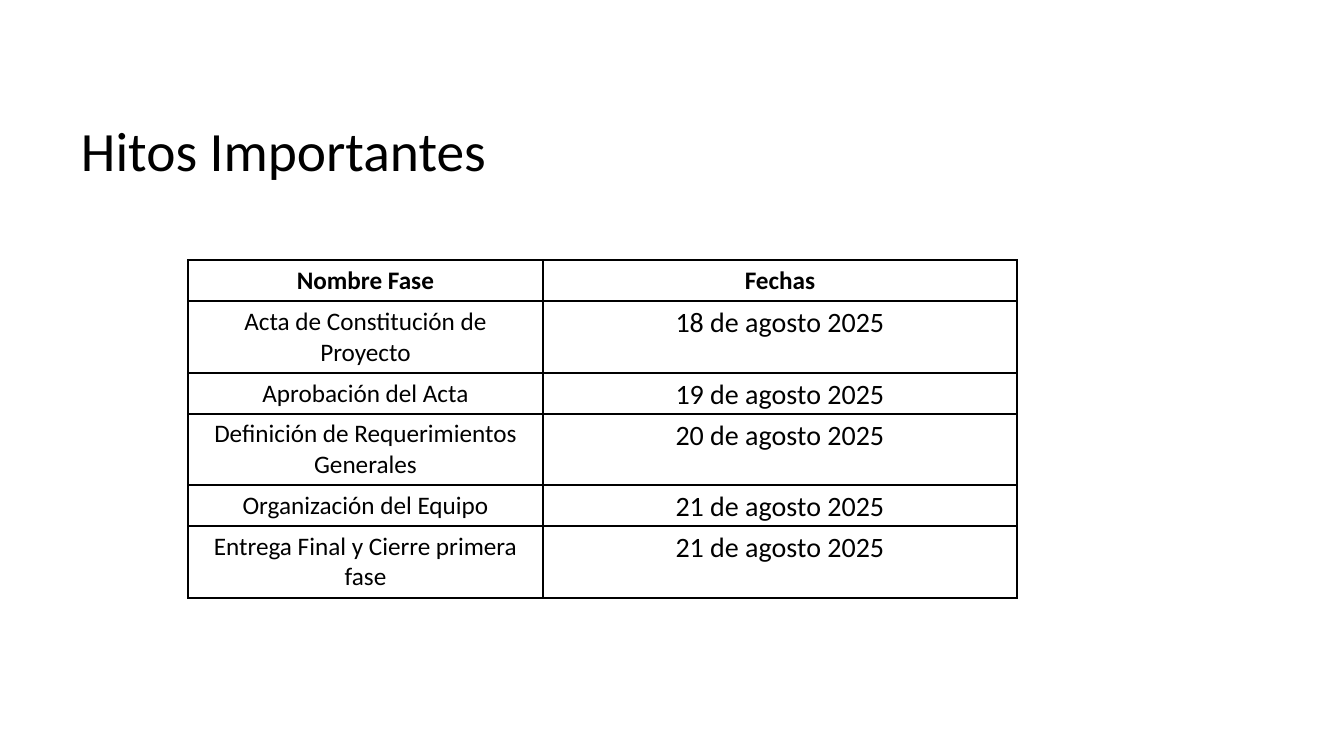
from lxml.etree import SubElement
from pptx import Presentation
from pptx.dml.color import RGBColor
from pptx.enum.text import MSO_ANCHOR, PP_ALIGN
from pptx.oxml.ns import qn
from pptx.util import Emu, Pt

FONT = "Calibri"
BLACK = "000000"
COLUMNS = (355, 474)
ROW_HEIGHTS = (41, 72, 41, 71, 41, 72)
HEADERS = ("Nombre Fase", "Fechas")
MILESTONES = (
    ("Acta de Constitución de Proyecto", "18 de agosto 2025"),
    ("Aprobación del Acta", "19 de agosto 2025"),
    ("Definición de Requerimientos Generales", "20 de agosto 2025"),
    ("Organización del Equipo", "21 de agosto 2025"),
    ("Entrega Final y Cierre primera fase", "21 de agosto 2025"),
)


def px(n):
    return Emu(round(n * 914400 / 100.8))


def color(value):
    return RGBColor.from_string(value)


def add_run(p, text, size, bold=False):
    r = p.add_run()
    r.text = text
    r.font.name = FONT
    r.font.size = Pt(size)
    r.font.bold = bold
    r.font.color.rgb = color(BLACK)


def set_margins(box, side, edge):
    box.margin_left = box.margin_right = px(side)
    box.margin_top = box.margin_bottom = px(edge)


def add_title(s, text):
    sp = s.shapes.add_textbox(px(71), px(118), px(1159), px(71))
    tf = sp.text_frame
    tf.word_wrap = True
    tf.vertical_anchor = MSO_ANCHOR.MIDDLE
    set_margins(tf, 10, 5)
    p = tf.paragraphs[0]
    p.line_spacing = 0.9
    add_run(p, text, 39.6)


def add_borders(cell):
    tcPr = cell._tc.get_or_add_tcPr()
    for side in ("a:lnL", "a:lnR", "a:lnT", "a:lnB"):
        ln = SubElement(tcPr, qn(side), w=str(Pt(1)))
        fill = SubElement(ln, qn("a:solidFill"))
        SubElement(fill, qn("a:srgbClr"), val=BLACK)


def fill_cell(cell, text, is_date, bold):
    add_borders(cell)
    cell.fill.background()
    p = cell.text_frame.paragraphs[0]
    p.alignment = PP_ALIGN.CENTER
    if is_date:
        set_margins(cell, 7, 0)
        cell.vertical_anchor = MSO_ANCHOR.TOP
        p.line_spacing = 1.15
        p.space_after = Pt(10)
    else:
        set_margins(cell, 10, 5)
        cell.vertical_anchor = MSO_ANCHOR.MIDDLE
    add_run(p, text, 20 if is_date else 18, bold)


def add_milestones(s):
    rows = (HEADERS, *MILESTONES)
    frame = s.shapes.add_table(len(rows), len(COLUMNS), px(188), px(260),
                               px(sum(COLUMNS)), px(sum(ROW_HEIGHTS)))
    table = frame.table
    table.first_row = table.horz_banding = False
    for column, width in zip(table.columns, COLUMNS):
        column.width = px(width)
    for row, height in zip(table.rows, ROW_HEIGHTS):
        row.height = px(height)
    for i, texts in enumerate(rows):
        for j, text in enumerate(texts):
            fill_cell(table.cell(i, j), text, i > 0 and j == 1, i == 0)


def main():
    prs = Presentation()
    prs.slide_width, prs.slide_height = px(1344), px(756)
    s = prs.slides.add_slide(prs.slide_layouts[6])
    add_title(s, "Hitos Importantes")
    add_milestones(s)
    prs.save("out.pptx")


if __name__ == "__main__":
    main()
